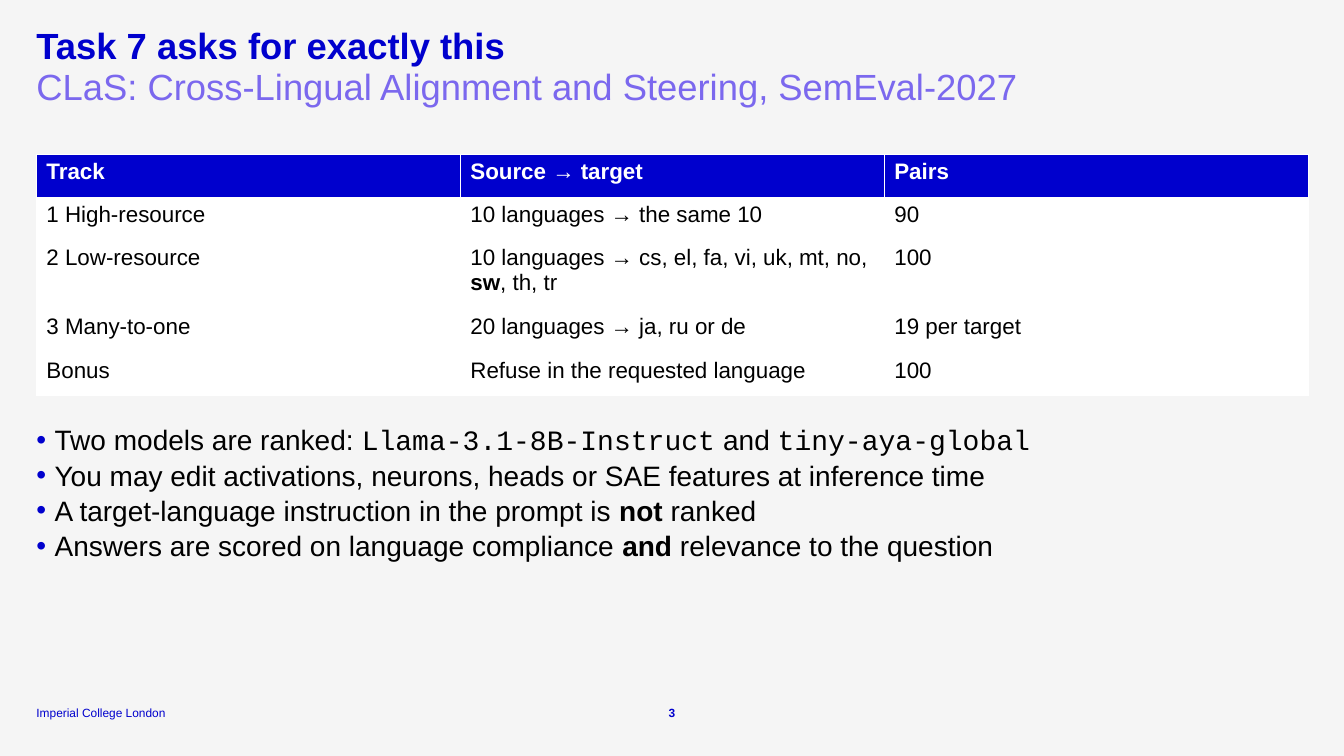
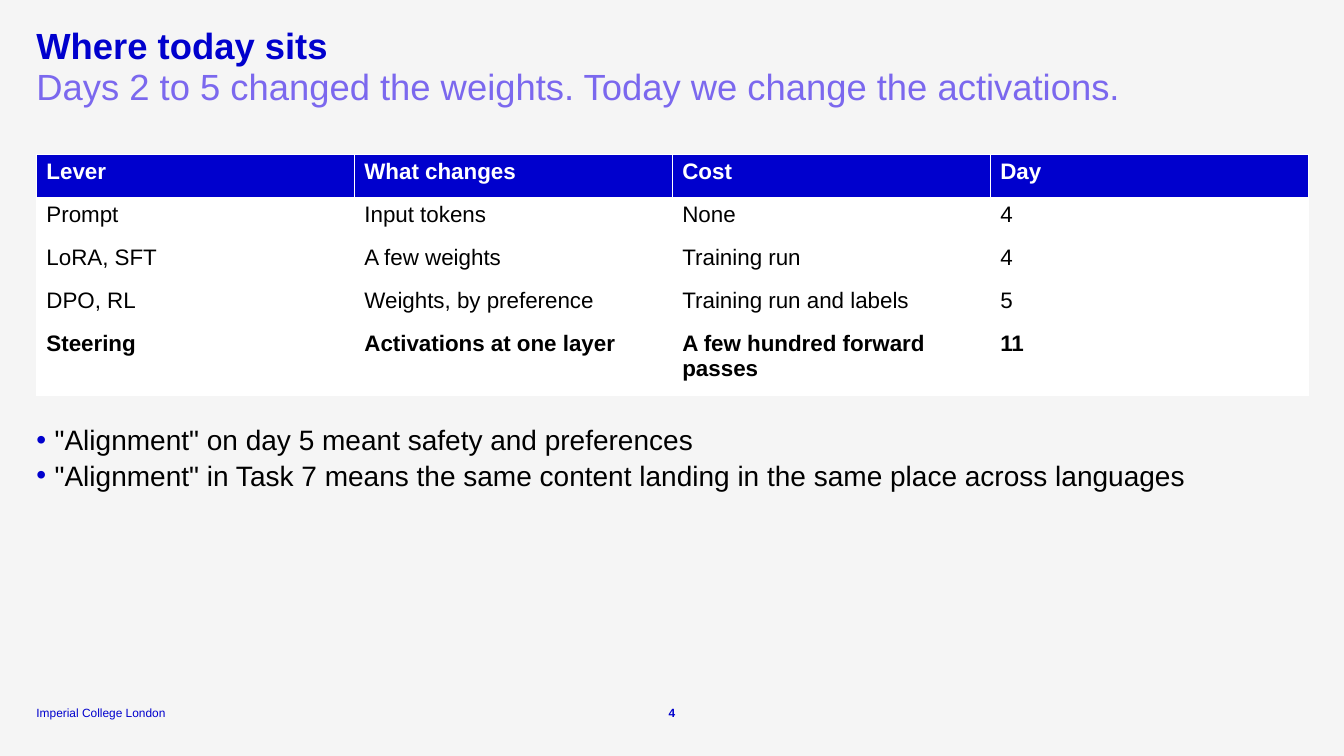
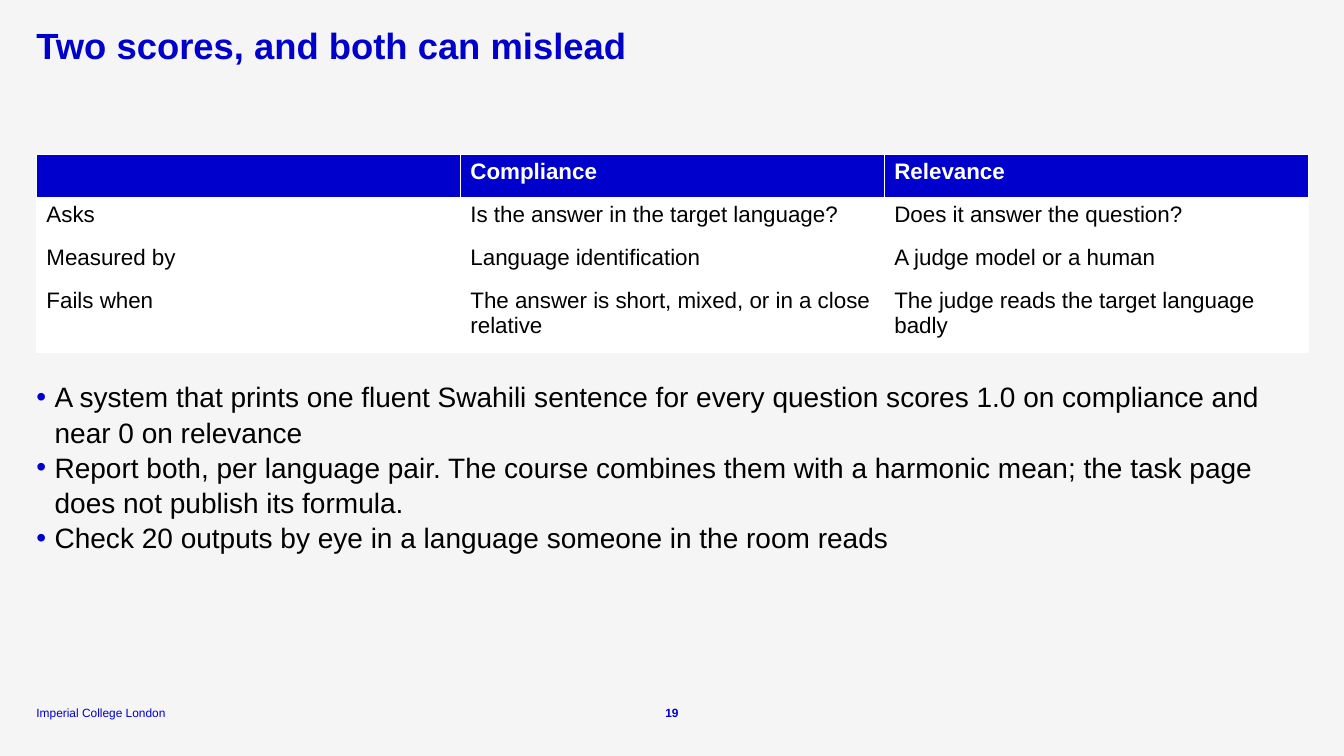
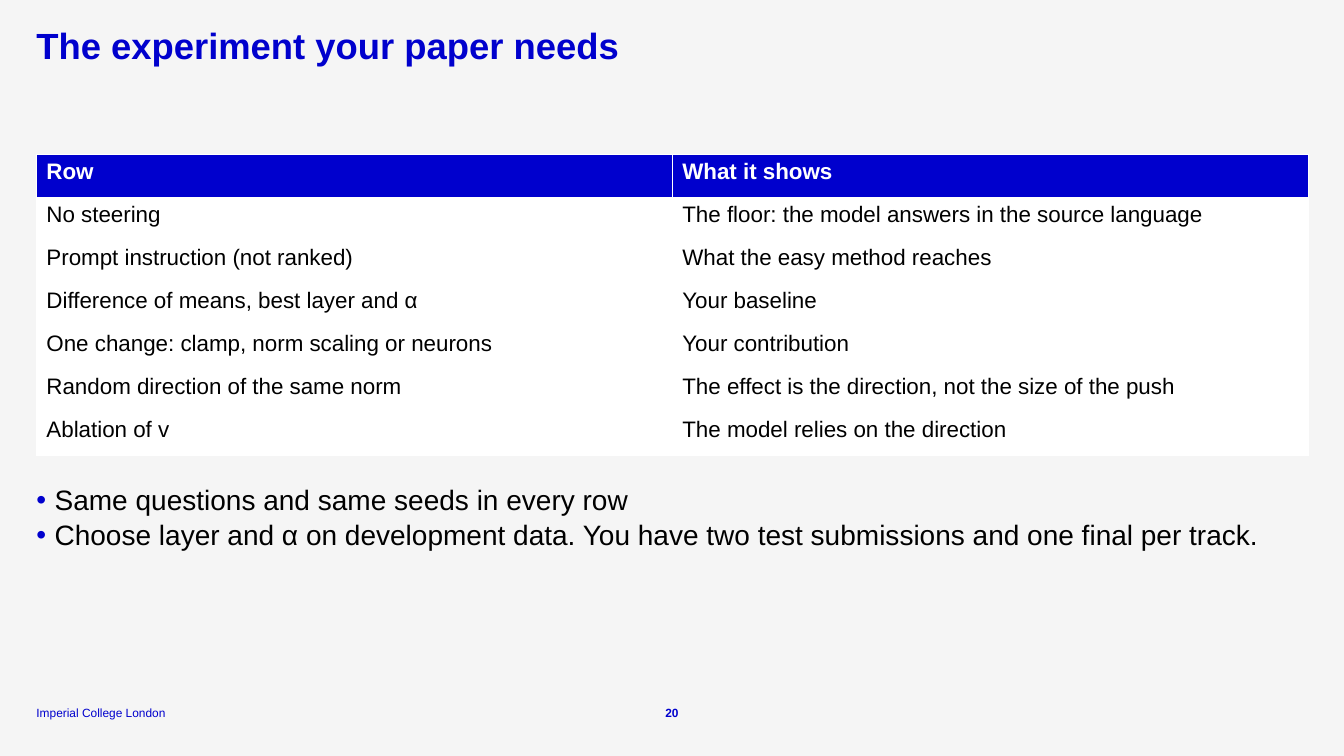
"""Build four lecture slides on cross-lingual steering, each with a table and a list."""
from dataclasses import dataclass

from lxml import etree
from pptx import Presentation
from pptx.dml.color import RGBColor
from pptx.enum.text import MSO_ANCHOR, MSO_AUTO_SIZE, PP_ALIGN
from pptx.oxml.ns import qn
from pptx.util import Pt

LEFT, CENTER = PP_ALIGN.LEFT, PP_ALIGN.CENTER
TOP, BOTTOM = MSO_ANCHOR.TOP, MSO_ANCHOR.BOTTOM
NO_FIT = MSO_AUTO_SIZE.NONE
TITLE_AND_CONTENT = 1


@dataclass(frozen=True)
class Theme:
    """Colours, fonts, type sizes and shared measures in points."""

    blue: str = "0000CD"
    violet: str = "7B68EE"
    black: str = "000000"
    white: str = "FFFFFF"
    background: str = "F5F5F5"
    font: str = "Arial"
    code_font: str = "Courier New"
    heading_size: float = 26
    body_size: float = 20
    table_size: float = 16
    footer_size: float = 8.5
    slide_width: float = 960
    slide_height: float = 540
    margin: float = 26
    content_width: float = 908.5
    title_top: float = 20
    heading_height: float = 29.25
    table_top: float = 110.25
    row_height: float = 30.75
    tall_row_height: float = 49.6
    list_gap: float = 18
    bullet_indent: float = 13
    footer_top: float = 503.25
    footer_height: float = 10.75
    footer_width: float = 111.5
    number_width: float = 25


THEME = Theme()
BOLD = {"bold": True}
CODE = {"name": THEME.code_font}


class Deck:
    """Holds the theme, the presentation and the current slide."""

    def __init__(self, theme):
        """Start a presentation with the shared background."""
        self.theme = theme
        self.presentation = Presentation()
        self.presentation.slide_width = Pt(theme.slide_width)
        self.presentation.slide_height = Pt(theme.slide_height)
        fill = self.presentation.slide_master.background.fill
        fill.solid()
        fill.fore_color.rgb = RGBColor.from_string(theme.background)
        self.slide = None

    def add_slide(self, title, subtitle, number):
        """Add a slide with its headings and footer."""
        theme = self.theme
        layout = self.presentation.slide_layouts[TITLE_AND_CONTENT]
        self.slide = self.presentation.slides.add_slide(layout)
        self.heading(self.slide.shapes.title, title, theme.title_top, theme.blue, True)
        if subtitle:
            top = theme.title_top + theme.heading_height
            self.heading(self.text_box(), subtitle, top, theme.violet, False)
        self.footer("Imperial College London", theme.margin, theme.footer_width, LEFT, False)
        number_left = (theme.slide_width - theme.number_width) / 2
        self.footer(str(number), number_left, theme.number_width, CENTER, True)

    def text_box(self):
        """Add an empty text box to be placed later."""
        return self.slide.shapes.add_textbox(0, 0, 0, 0)

    def place(self, shape, left, top, width, height, anchor=TOP):
        """Position a text shape and return its frame without insets."""
        places = {"left": left, "top": top, "width": width, "height": height}
        for name, value in places.items():
            setattr(shape, name, Pt(value))
        frame = shape.text_frame
        settings = {"margin_left": 0, "margin_top": 0, "margin_right": 0, "margin_bottom": 0,
                    "word_wrap": True, "auto_size": NO_FIT, "vertical_anchor": anchor}
        for name, value in settings.items():
            setattr(frame, name, value)
        return frame

    def add_text(self, paragraph, content, size, color, bold=False, **layout):
        """Put a string or a list of plain and styled parts into a paragraph."""
        for name, value in layout.items():
            setattr(paragraph, name, value)
        for part in [content] if isinstance(content, str) else content:
            text, changes = (part, {}) if isinstance(part, str) else part
            run = paragraph.add_run()
            run.text = text
            formats = {"name": self.theme.font, "size": Pt(size), "bold": bold, **changes}
            for name, value in formats.items():
                setattr(run.font, name, value)
            run.font.color.rgb = RGBColor.from_string(color)

    def heading(self, shape, text, top, color, bold):
        """Format a shape as a title or subtitle line."""
        theme = self.theme
        frame = self.place(shape, theme.margin, top, theme.content_width, theme.heading_height)
        self.add_text(frame.paragraphs[0], text, theme.heading_size, color, bold,
                      alignment=LEFT, line_spacing=0.9)

    def footer(self, text, left, width, alignment, bold):
        """Add one footer text."""
        theme = self.theme
        frame = self.place(self.text_box(), left, theme.footer_top, width,
                           theme.footer_height, BOTTOM)
        self.add_text(frame.paragraphs[0], text, theme.footer_size, theme.blue, bold,
                      alignment=alignment)

    def table(self, rows, tall_row=None, bold_row=None):
        """Add a table with equal columns and return its bottom edge."""
        theme = self.theme
        heights = [theme.tall_row_height if index == tall_row else theme.row_height
                   for index in range(len(rows))]
        columns = len(rows[0])
        table = self.slide.shapes.add_table(
            len(rows), columns, Pt(theme.margin), Pt(theme.table_top),
            Pt(theme.content_width), Pt(sum(heights))).table
        table.horz_banding = False
        for column in table.columns:
            column.width = Pt(theme.content_width / columns)
        for index, (contents, height) in enumerate(zip(rows, heights)):
            table.rows[index].height = Pt(height)
            header = index == 0
            fill, color = (theme.blue, theme.white) if header else (theme.white, theme.black)
            for cell, content in zip(table.rows[index].cells, contents):
                cell.fill.solid()
                cell.fill.fore_color.rgb = RGBColor.from_string(fill)
                self.add_text(cell.text_frame.paragraphs[0], content, theme.table_size, color,
                              header or index == bold_row)
        return theme.table_top + sum(heights)

    def bullets(self, items, table_bottom, height):
        """Fill the body placeholder with a bulleted list below the table."""
        theme = self.theme
        frame = self.place(self.slide.placeholders[1], theme.margin,
                           table_bottom + theme.list_gap, theme.content_width, height)
        for index, item in enumerate(items):
            paragraph = frame.add_paragraph() if index else frame.paragraphs[0]
            self.bullet(paragraph)
            self.add_text(paragraph, item, theme.body_size, theme.black,
                          level=2, line_spacing=1.05, space_before=Pt(0))

    def bullet(self, paragraph):
        """Give a paragraph a coloured bullet and a hanging indent."""
        theme = self.theme
        properties = paragraph._p.get_or_add_pPr()
        properties.set("marL", str(Pt(theme.bullet_indent)))
        properties.set("indent", str(-Pt(theme.bullet_indent)))
        color = etree.SubElement(properties, qn("a:buClr"))
        etree.SubElement(color, qn("a:srgbClr"), val=theme.blue)
        etree.SubElement(properties, qn("a:buFont"), typeface=theme.font)
        etree.SubElement(properties, qn("a:buChar"), char="•")


SLIDES = [
    {
        "title": "Task 7 asks for exactly this",
        "subtitle": "CLaS: Cross-Lingual Alignment and Steering, SemEval-2027",
        "number": 3,
        "rows": [
            ("Track", "Source → target", "Pairs"),
            ("1 High-resource", "10 languages → the same 10", "90"),
            ("2 Low-resource",
             ["10 languages → cs, el, fa, vi, uk, mt, no, ", ("sw", BOLD), ", th, tr"], "100"),
            ("3 Many-to-one", "20 languages → ja, ru or de", "19 per target"),
            ("Bonus", "Refuse in the requested language", "100"),
        ],
        "emphasis": {"tall_row": 2},
        "bullets": [
            ["Two models are ranked: ", ("Llama-3.1-8B-Instruct", CODE), " and ",
             ("tiny-aya-global", CODE)],
            "You may edit activations, neurons, heads or SAE features at inference time",
            ["A target-language instruction in the prompt is ", ("not", BOLD), " ranked"],
            ["Answers are scored on language compliance ", ("and", BOLD),
             " relevance to the question"],
        ],
        "list_height": 142.5,
    },
    {
        "title": "Where today sits",
        "subtitle": "Days 2 to 5 changed the weights. Today we change the activations.",
        "number": 4,
        "rows": [
            ("Lever", "What changes", "Cost", "Day"),
            ("Prompt", "Input tokens", "None", "4"),
            ("LoRA, SFT", "A few weights", "Training run", "4"),
            ("DPO, RL", "Weights, by preference", "Training run and labels", "5"),
            ("Steering", "Activations at one layer", "A few hundred forward passes", "11"),
        ],
        "emphasis": {"tall_row": 4, "bold_row": 4},
        "bullets": [
            '"Alignment" on day 5 meant safety and preferences',
            '"Alignment" in Task 7 means the same content landing in the same place '
            'across languages',
        ],
        "list_height": 71.25,
    },
    {
        "title": "Two scores, and both can mislead",
        "subtitle": None,
        "number": 19,
        "rows": [
            ((), "Compliance", "Relevance"),
            ("Asks", "Is the answer in the target language?", "Does it answer the question?"),
            ("Measured by", "Language identification", "A judge model or a human"),
            ("Fails when", "The answer is short, mixed, or in a close relative",
             "The judge reads the target language badly"),
        ],
        "emphasis": {"tall_row": 3},
        "bullets": [
            "A system that prints one fluent Swahili sentence for every question scores 1.0 "
            "on compliance and near 0 on relevance",
            "Report both, per language pair. The course combines them with a harmonic mean; "
            "the task page does not publish its formula.",
            "Check 20 outputs by eye in a language someone in the room reads",
        ],
        "list_height": 159,
    },
    {
        "title": "The experiment your paper needs",
        "subtitle": None,
        "number": 20,
        "rows": [
            ("Row", "What it shows"),
            ("No steering", "The floor: the model answers in the source language"),
            ("Prompt instruction (not ranked)", "What the easy method reaches"),
            ("Difference of means, best layer and α", "Your baseline"),
            ("One change: clamp, norm scaling or neurons", "Your contribution"),
            ("Random direction of the same norm",
             "The effect is the direction, not the size of the push"),
            ("Ablation of v", "The model relies on the direction"),
        ],
        "emphasis": {},
        "bullets": [
            "Same questions and same seeds in every row",
            "Choose layer and α on development data. You have two test submissions and one "
            "final per track.",
        ],
        "list_height": 71.25,
    },
]


def main():
    """Build every slide and save the presentation."""
    deck = Deck(THEME)
    for content in SLIDES:
        deck.add_slide(content["title"], content["subtitle"], content["number"])
        table_bottom = deck.table(content["rows"], **content["emphasis"])
        deck.bullets(content["bullets"], table_bottom, content["list_height"])
    deck.presentation.save("out.pptx")


if __name__ == "__main__":
    main()
